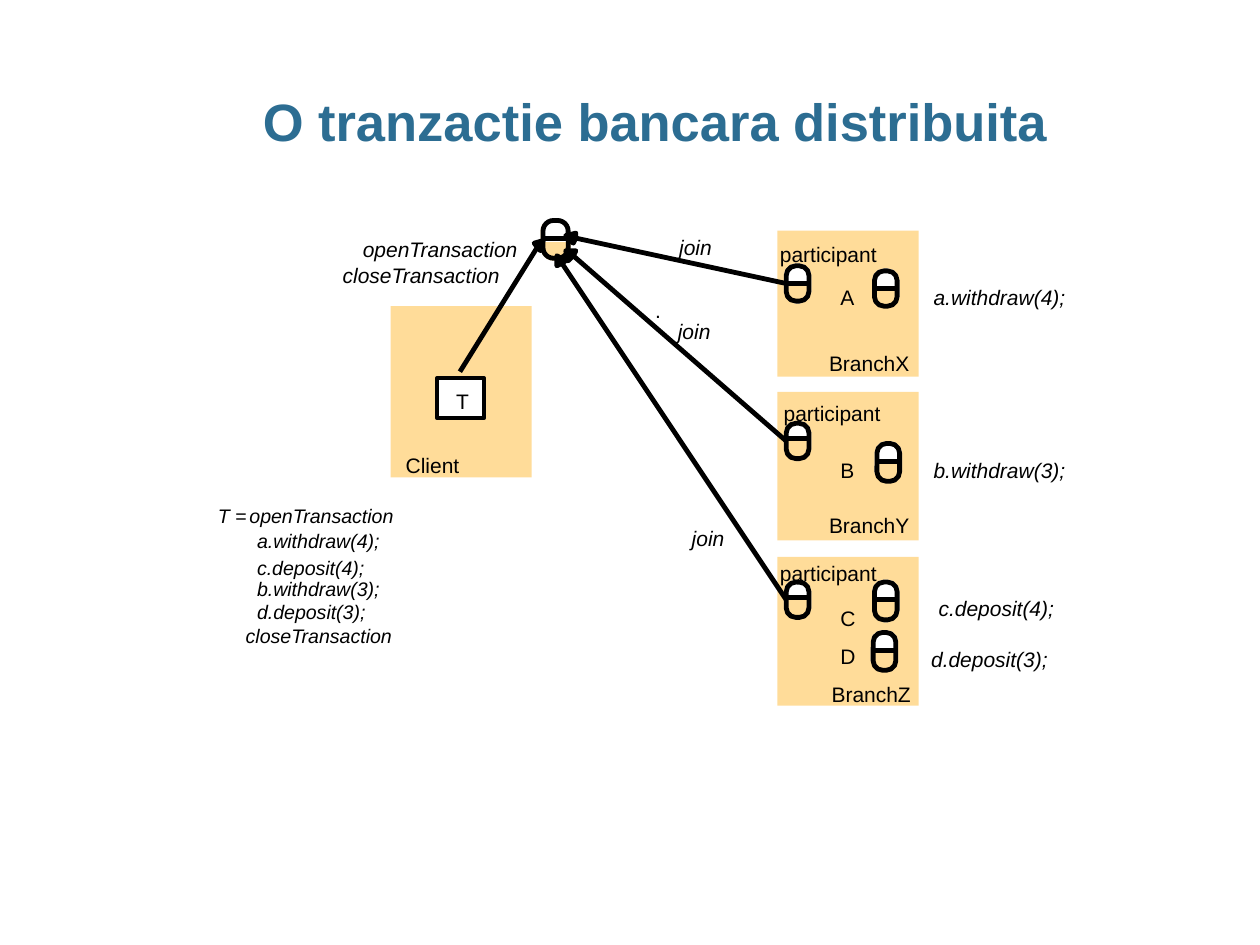
from pptx import Presentation
from pptx.dml.color import RGBColor
from pptx.enum.shapes import MSO_CONNECTOR, MSO_SHAPE
from pptx.enum.text import MSO_ANCHOR, PP_ALIGN
from pptx.oxml.ns import qn
from pptx.util import Inches, Pt
from lxml import etree

RECT = MSO_SHAPE.RECTANGLE
ROUNDED = MSO_SHAPE.ROUNDED_RECTANGLE
STRAIGHT = MSO_CONNECTOR.STRAIGHT
TOP = MSO_ANCHOR.TOP
CENTER = PP_ALIGN.CENTER
LEFT_SIDE = 1

BLACK, WHITE, SAND, BLUE = "000000", "FFFFFF", "FFDC99", "2C6D92"


def rgb(hex_color):
    return RGBColor.from_string(hex_color)


class Diagram:
    """Holds the style and the slide being drawn."""

    font_name = "Arial"
    stroke = 2.75

    def __init__(self, slide):
        self.slide = slide
        self.shapes = slide.shapes

    def title(self, text, left, top, width, height):
        title = self.shapes.title
        title.left, title.top = Inches(left), Inches(top)
        title.width, title.height = Inches(width), Inches(height)
        frame = title.text_frame
        frame.margin_left = frame.margin_right = 0
        frame.vertical_anchor = TOP
        frame.word_wrap = True
        frame.text = text
        paragraph = frame.paragraphs[0]
        paragraph.alignment = CENTER
        paragraph.line_spacing = 0.95
        self.style(paragraph.font, 30, BLUE)
        paragraph.font.bold = True

    def style(self, font, size, color=BLACK):
        font.name, font.size = self.font_name, Pt(size)
        font.color.rgb = rgb(color)

    def label(self, text, left, top, width, italic=False, size=12, upright_end=""):
        """Add a one-line label; upright_end follows the text without italics."""
        box = self.shapes.add_textbox(
            Inches(left), Inches(top), Inches(width), Inches(0.2))
        frame = box.text_frame
        frame.margin_left = frame.margin_right = 0
        frame.margin_top = frame.margin_bottom = 0
        frame.word_wrap = False
        paragraph = frame.paragraphs[0]
        paragraph.add_run().text = text
        self.style(paragraph.font, size)
        paragraph.font.italic = italic
        if upright_end:
            ending = paragraph.add_run()
            ending.text = upright_end
            ending.font.italic = False

    def box(self, left, top, width, height, fill=None, line=None,
            line_width=stroke, kind=RECT):
        shape = self.shapes.add_shape(
            kind, Inches(left), Inches(top), Inches(width), Inches(height))
        self.paint(shape, fill, line, line_width)
        return shape

    def paint(self, shape, fill, line, line_width):
        shape.shadow.inherit = False
        if fill:
            shape.fill.solid()
            shape.fill.fore_color.rgb = rgb(fill)
        else:
            shape.fill.background()
        if line:
            shape.line.color.rgb = rgb(line)
            shape.line.width = Pt(line_width)
        else:
            shape.line.fill.background()

    def line(self, start, end):
        connector = self.shapes.add_connector(
            STRAIGHT, *(Inches(value) for value in (*start, *end)))
        connector.line.color.rgb = rgb(BLACK)
        connector.line.width = Pt(self.stroke)
        etree.SubElement(connector._element.spPr, qn("a:effectLst"))
        return connector

    def arrow(self, start, end, head):
        """Draw a line that ends in a filled head with the given corners."""
        corners = [(Inches(x), Inches(y)) for x, y in head]
        builder = self.shapes.build_freeform(*corners[0])
        builder.add_line_segments(corners[1:], close=True)
        self.paint(builder.convert_to_shape(), BLACK, BLACK, self.stroke)
        return self.line(start, end)

    def capsule(self, left, top, width, height, divider, body, half,
                half_box):
        """Draw an object symbol whose two halves differ in colour."""
        outer = (left, top, width, height)
        filled = self.box(*outer, body, body, kind=ROUNDED)
        self.box(*half_box, half, half)
        outline = self.box(*outer, line=BLACK, kind=ROUNDED)
        for shape in (filled, outline):
            shape.adjustments[0] = 0.42
        self.line((left, top + divider), (left + width - 0.01, top + divider))
        return outline

    def account(self, left, top, height, divider):
        """Draw a symbol with a white upper and a sand lower half."""
        lower_half = (left, top + height - 0.14, 0.18, 0.14)
        return self.capsule(left, top, 0.18, height, divider, WHITE, SAND,
                            lower_half)


# Per branch: name and place, box top and height, participant label,
# participant symbol (top, divider), join label, arrow end and head,
# accounts (letter, label top, symbol, operation, operation left and top).
BRANCHES = [
    (("BranchX", 6.58, 2.78), (1.83, 1.16), (6.19, 1.92), (2.11, 0.14),
     (5.39, 1.86), (4.57, 1.89),
     [(4.57, 1.89), (4.55, 1.93), (4.49, 1.87), (4.57, 1.85)],
     [("A", 2.26, (6.94, 2.15, 0.28, 0.14), "a.withdraw(4);", 7.41, 2.26)]),
    (("BranchY", 6.58, 4.07), (3.11, 1.18), (6.22, 3.18), (3.36, 0.12),
     (5.38, 2.53), (4.55, 2.03),
     [(4.55, 2.03), (4.51, 2.07), (4.49, 1.99), (4.57, 1.99)],
     [("B", 3.63, (6.96, 3.52, 0.3, 0.14), "b.withdraw(3);", 7.41, 3.63)]),
    (("BranchZ", 6.6, 5.41), (4.42, 1.18), (6.19, 4.45), (4.62, 0.12),
     (5.49, 4.17), (4.46, 2.09),
     [(4.46, 2.09), (4.42, 2.11), (4.42, 2.03), (4.49, 2.07)],
     [("C", 4.81, (6.94, 4.62, 0.3, 0.14), "c.deposit(4);", 7.45, 4.73),
      ("D", 5.11, (6.93, 5.02, 0.3, 0.14), "d.deposit(3);", 7.39, 5.13)]),
]

TRANSACTION_STEPS = [
    ("openTransaction", 1.98, 4.0),
    ("a.withdraw(4);", 2.04, 4.2),
    ("c.deposit(4);", 2.04, 4.41),
    ("b.withdraw(3);", 2.04, 4.58),
    ("d.deposit(3);", 2.04, 4.76),
    ("closeTransaction", 1.95, 4.95),
]


def draw_client(diagram):
    diagram.box(3.1, 2.43, 1.12, 1.36, SAND)
    diagram.box(3.47, 3, 0.37, 0.32, WHITE, BLACK, 2.25)
    diagram.label("T", 3.62, 3.08, 0.1)
    diagram.label("Client", 3.22, 3.59, 0.43)
    diagram.label("openTransaction", 2.88, 1.88, 1.24, italic=True)
    diagram.label("closeTransaction", 2.72, 2.08, 1.26, italic=True)


def draw_branch(diagram, name, extent, participant_label, participant,
                join_label, arrow_end, arrow_head, accounts):
    top, height = extent
    diagram.box(6.17, top, 1.12, height, SAND)
    symbol_top, divider = participant
    symbol = diagram.account(6.24, symbol_top, 0.28, divider)
    diagram.label("participant", *participant_label, 0.77)
    diagram.label(*name, 0.64)
    for letter, letter_top, account, operation, left, operation_top in accounts:
        diagram.account(*account)
        diagram.label(letter, 6.67, letter_top, 0.12)
        diagram.label(operation, left, operation_top, 1.06, italic=True)
    join = diagram.arrow((6.24, symbol_top + 0.14), arrow_end, arrow_head)
    join.begin_connect(symbol, LEFT_SIDE)
    diagram.label("join", *join_label, 0.27, italic=True)


def main():
    presentation = Presentation()
    presentation.slide_width, presentation.slide_height = Inches(10), Inches(7.5)
    title_only = presentation.slide_layouts[5]
    diagram = Diagram(presentation.slides.add_slide(title_only))

    diagram.title("O tranzactie bancara distribuita", 1.45, 0.69, 7.5, 0.75)
    draw_client(diagram)
    diagram.capsule(4.31, 1.75, 0.2, 0.3, 0.14, SAND, WHITE,
                    (4.33, 1.75, 0.18, 0.15))
    for branch in BRANCHES:
        draw_branch(diagram, *branch)
    diagram.label(".", 5.2, 2.36, 0.05)
    diagram.arrow((3.65, 2.95), (4.26, 1.97),
                  [(4.27, 1.97), (4.24, 1.93), (4.31, 1.91), (4.29, 1.99)])

    diagram.label("T ", 1.73, 4, 0.28, italic=True, size=11.2, upright_end="=")
    for step, left, top in TRANSACTION_STEPS:
        diagram.label(step, left, top, 1.18, italic=True, size=11.2)

    presentation.save("out.pptx")


if __name__ == "__main__":
    main()
